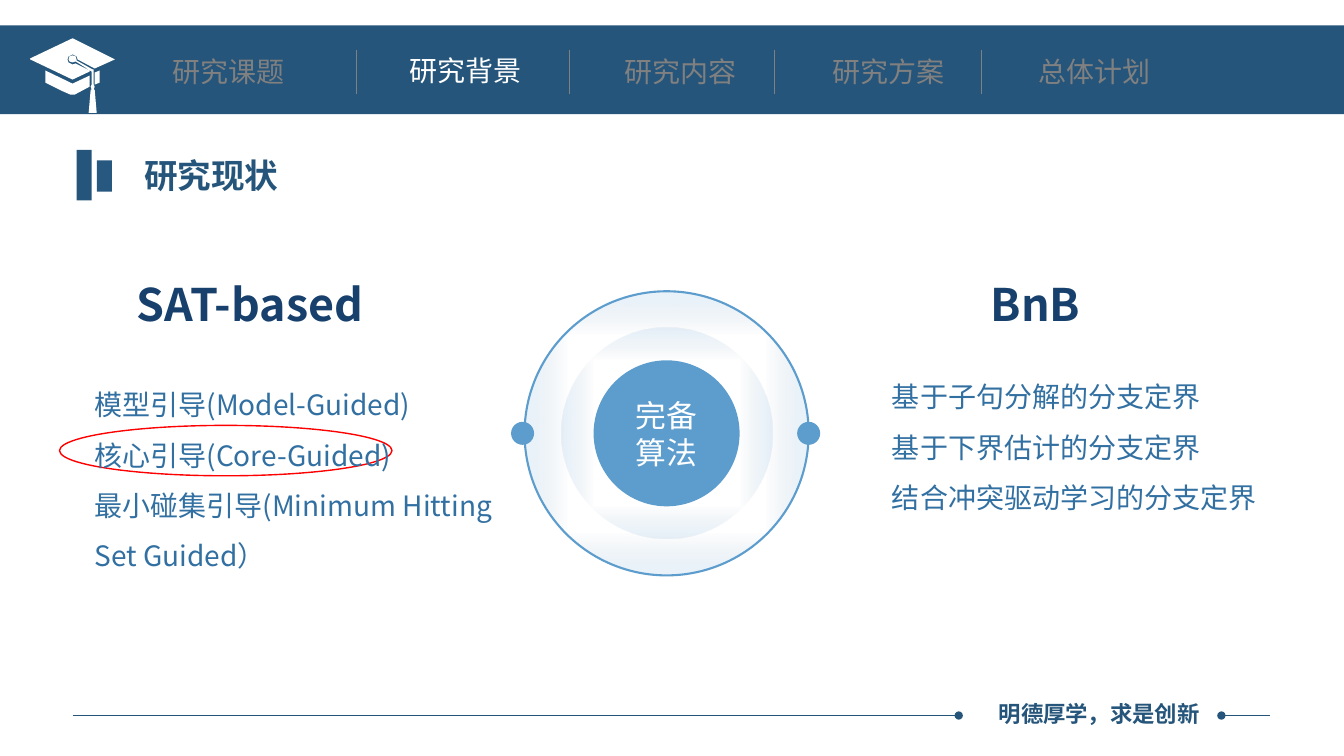
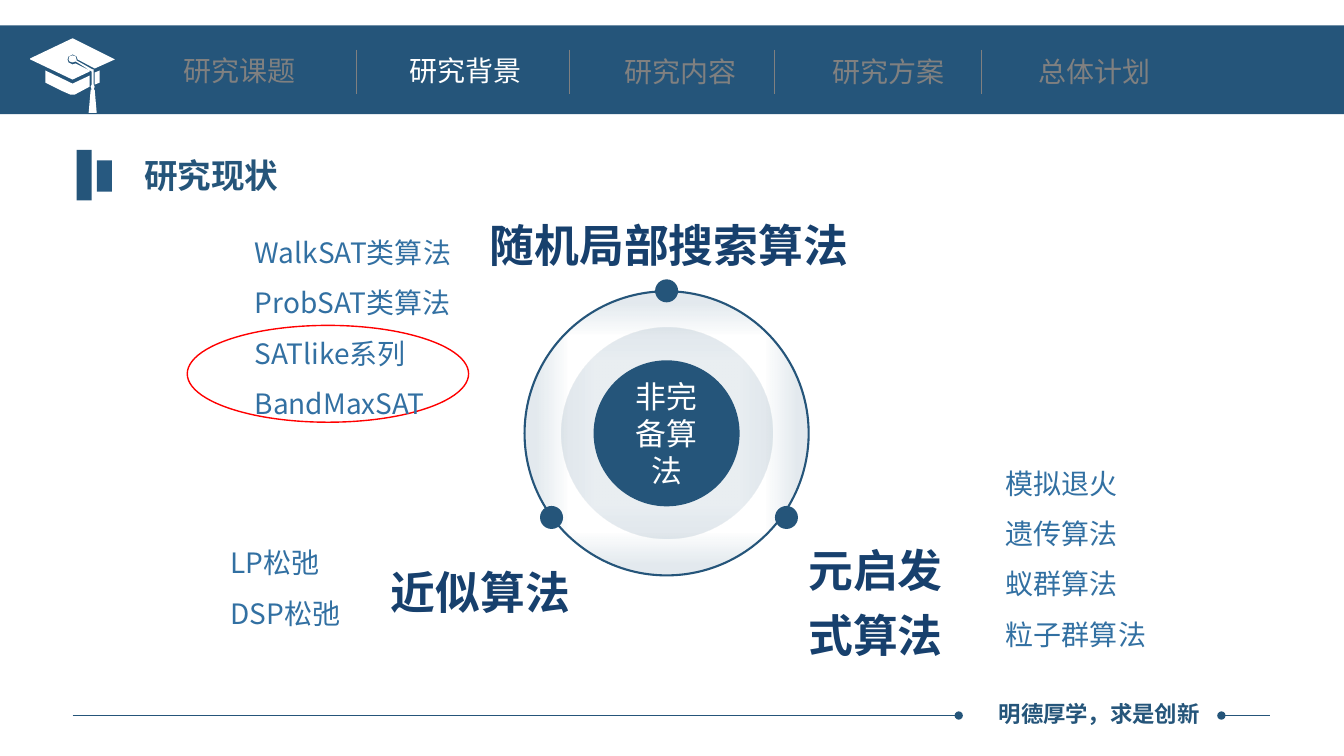
from lxml import etree
from pptx import Presentation
from pptx.dml.color import RGBColor
from pptx.enum import shapes, text
from pptx.oxml import ns
from pptx.util import Cm, Pt

NAVY = RGBColor(0x25, 0x55, 0x7A)
NAVY_LIGHT = RGBColor(0x27, 0x59, 0x80)
SKY = RGBColor(0x5D, 0x9D, 0xCE)
HEADING = RGBColor(0x17, 0x40, 0x6D)
BODY = RGBColor(0x32, 0x70, 0xA2)
GRAY = RGBColor(0x80, 0x80, 0x80)
RED = RGBColor(0xFF, 0x00, 0x00)
WHITE = RGBColor(0xFF, 0xFF, 0xFF)

CJK = "Noto Sans CJK SC"
LATIN = "Arial"
OVAL = shapes.MSO_SHAPE.OVAL
RECT = shapes.MSO_SHAPE.RECTANGLE
CENTER = text.PP_ALIGN.CENTER

# Tab names with their left edges, and the separators between them
TABS = [("研究背景", 10.06), ("研究内容", 15.49), ("研究方案", 20.73), ("总体计划", 25.91)]
ACTIVE_TAB = "研究背景"
SEPARATORS = [8.97, 14.35, 19.51, 24.74]

# Graduation cap outlines, in hundredths of an inch
CAP = [
    [(94, 84), (99, 82), (99, 70), (94, 72)],
    [(45, 70), (45, 82), (53, 86), (61, 90), (70, 94), (74, 94), (89, 86), (89, 75), (72, 83)],
    [(93, 69), (92, 69), (76, 60), (76, 59), (75, 56), (72, 55), (69, 56), (68, 59),
     (69, 61), (72, 62), (75, 61), (91, 71)],
    [(114, 59), (72, 38), (30, 58), (30, 59), (72, 79), (89, 71), (89, 70), (75, 63),
     (72, 64), (68.5, 62.5), (67, 59), (68.5, 55.5), (72, 54), (75.5, 55.5), (77, 59), (94, 68)],
    [(93, 69), (93, 84), (94, 86), (93, 89), (94, 89), (96, 112), (88, 112), (90, 89),
     (91, 89), (90, 86), (91, 84), (91, 71)],
]


def add_tag(parent, tag, **attributes):
    return etree.SubElement(parent, ns.qn(tag), attributes)


class Deck:
    HUB = (16.8, 10.92)

    def __init__(self):
        self.prs = Presentation()
        self.prs.slide_width, self.prs.slide_height = Cm(33.87), Cm(19.05)
        self.slide = None

    # Basic elements
    def shape(self, kind, left, top, width, height, fill, line=None, weight=1):
        item = self.slide.shapes.add_shape(kind, Cm(left), Cm(top), Cm(width), Cm(height))
        self.paint(item, fill, line, weight)
        return item

    def paint(self, item, fill, line=None, weight=1):
        item.shadow.inherit = False
        if fill is not None:
            item.fill.solid()
            item.fill.fore_color.rgb = fill
        if line is None:
            item.line.fill.background()
        else:
            item.line.color.rgb = line
            item.line.width = Pt(weight)

    def fill_text(self, frame, lines, size, color, font=CJK, bold=False, align=None, spacing=None):
        frame.text = "\n".join(lines)
        for paragraph in frame.paragraphs:
            paragraph.alignment = align
            paragraph.line_spacing = spacing
            for run in paragraph.runs:
                run.font.size, run.font.bold = Pt(size), bold
                run.font.color.rgb = color
                run.font.name = font
                add_tag(run._r.get_or_add_rPr(), "a:ea", typeface=CJK)

    def label(self, left, top, width, height, lines, size, color, wrap=False, **style):
        box = self.slide.shapes.add_textbox(Cm(left), Cm(top), Cm(width), Cm(height))
        box.text_frame.word_wrap = wrap
        self.fill_text(box.text_frame, lines, size, color, **style)

    def line(self, start, end, color, weight, dot=None):
        rule = self.slide.shapes.add_connector(
            shapes.MSO_CONNECTOR.STRAIGHT, *(Cm(value) for value in start + end))
        rule.line.color.rgb = color
        rule.line.width = Pt(weight)
        properties = rule._element.spPr
        if dot:
            add_tag(properties.find(ns.qn("a:ln")), dot, type="oval")
        add_tag(properties, "a:effectLst")

    # Shared frame: band, cap, tabs, title and footer
    def new_slide(self, title, topic_at):
        self.slide = self.prs.slides.add_slide(self.prs.slide_layouts[6])
        self.shape(RECT, 0, 0.64, 33.87, 2.24, NAVY)
        self.cap()
        self.label(*topic_at, 4.06, 1.12, ["研究课题"], 20, GRAY)
        for name, left in TABS:
            active = name == ACTIVE_TAB
            self.label(left, 1.22 if active else 1.25, 4.06, 1.12, [name], 20,
                       WHITE if active else GRAY)
        for x in SEPARATORS:
            self.line((x, 1.25), (x, 2.36), GRAY, 0.5)
        self.shape(RECT, 1.93, 3.78, 0.38, 1.27, NAVY)
        self.shape(RECT, 2.44, 4.04, 0.38, 0.79, NAVY_LIGHT)
        self.label(3.38, 3.78, 6.5, 1.27, [title], 24, NAVY, font=LATIN, bold=True)
        self.label(24.92, 17.53, 5.64, 0.94, ["明德厚学，求是创新"], 16, NAVY, font=LATIN, bold=True)
        self.line((1.83, 18.03), (24.16, 18.03), NAVY, 1.25, dot="a:tailEnd")
        self.line((30.78, 18.03), (32, 18.03), NAVY, 1.25, dot="a:headEnd")

    def cap(self):
        builder = self.slide.shapes.build_freeform(*CAP[0][0], scale=Cm(2.54) / 100)
        for index, outline in enumerate(CAP):
            if index:
                builder.move_to(*outline[0])
            builder.add_line_segments(outline[1:], close=True)
        self.paint(builder.convert_to_shape(), WHITE)

    # Concentric hub with dots on its rim
    def disc(self, diameter, fill, line=None, weight=1, offset=(0, 0)):
        left, top = (c + d - diameter / 2 for c, d in zip(self.HUB, offset))
        return self.shape(OVAL, left, top, diameter, diameter, fill, line, weight)

    def glow(self, item, color, opacities):
        item.fill.gradient()
        for stop, position, rgb in zip(item.fill.gradient_stops, (0.69, 0.91), (NAVY, color)):
            stop.position = position
            stop.color.rgb = rgb
        gradient = item._element.spPr.find(ns.qn("a:gradFill"))
        for tint, opacity in zip(list(gradient.iter(ns.qn("a:srgbClr"))), opacities):
            add_tag(tint, "a:alpha", val=str(opacity * 1000))
        gradient.remove(gradient.find(ns.qn("a:lin")))
        shade = add_tag(gradient, "a:path", path="shape")
        add_tag(shade, "a:fillToRect", l="50000", t="50000", r="50000", b="50000")

    def hub(self, name, color, inner_opacities, dots):
        self.glow(self.disc(7.16, None, color, 1.5), color, (0, 12))
        self.glow(self.disc(5.31, None), color, inner_opacities)
        core = self.disc(3.68, color).text_frame
        core.vertical_anchor = text.MSO_ANCHOR.MIDDLE
        core.word_wrap = True
        self.fill_text(core, [name], 22, WHITE, align=CENTER)
        for offset in dots:
            self.disc(0.58, color, offset=offset)

    # Headings, lists and the red mark
    def heading(self, left, top, width, name, height=1.75, align=None):
        self.label(left, top, width, height, [name], 32, HEADING, wrap=True,
                   bold=True, align=align, spacing=1.2)

    def methods(self, left, top, width, lines):
        self.label(left, top, width, 1.27 * len(lines) + 0.25, lines, 20, BODY,
                   wrap=True, spacing=1.5)

    def mark(self, left, top, width, height):
        self.shape(OVAL, left, top, width, height, WHITE, RED)


def main():
    deck = Deck()

    # Complete algorithms
    deck.new_slide("研究现状", (4.09, 1.25))
    deck.mark(1.5, 10.72, 8.38, 1.27)
    deck.hub("完备算法", SKY, (0, 12), [(-3.63, 0), (3.58, 0)])
    deck.heading(3.2, 6.58, 6.88, "SAT-based")
    deck.methods(2.13, 9.22, 10.92, ["模型引导(Model-Guided)", "核心引导(Core-Guided)",
                                     "最小碰集引导(Minimum Hitting Set Guided）"])
    deck.heading(22.66, 6.58, 6.88, "BnB", align=CENTER)
    deck.methods(22.23, 9.02, 10.92, ["基于子句分解的分支定界", "基于下界估计的分支定界",
                                      "结合冲突驱动学习的分支定界"])

    # Incomplete algorithms
    deck.new_slide("研究现状", (4.37, 1.22))
    deck.mark(4.72, 8.2, 7.09, 2.44)
    deck.hub("非完备算法", NAVY, (10, 13), [(0, -3.59), (-2.9, 2.12), (3.02, 2.12)])
    deck.heading(12.09, 5.08, 10.24, "随机局部搜索算法")
    deck.heading(9.6, 13.84, 6.5, "近似算法")
    deck.heading(20.12, 13.28, 4.34, "元启发式算法", height=3.4)
    deck.methods(6.17, 5.38, 8, ["WalkSAT类算法", "ProbSAT类算法", "SATlike系列", "BandMaxSAT"])
    deck.methods(5.56, 13.21, 8, ["LP松弛", "DSP松弛"])
    deck.methods(25.1, 11.2, 8, ["模拟退火", "遗传算法", "蚁群算法", "粒子群算法"])

    deck.prs.save("out.pptx")


if __name__ == "__main__":
    main()
